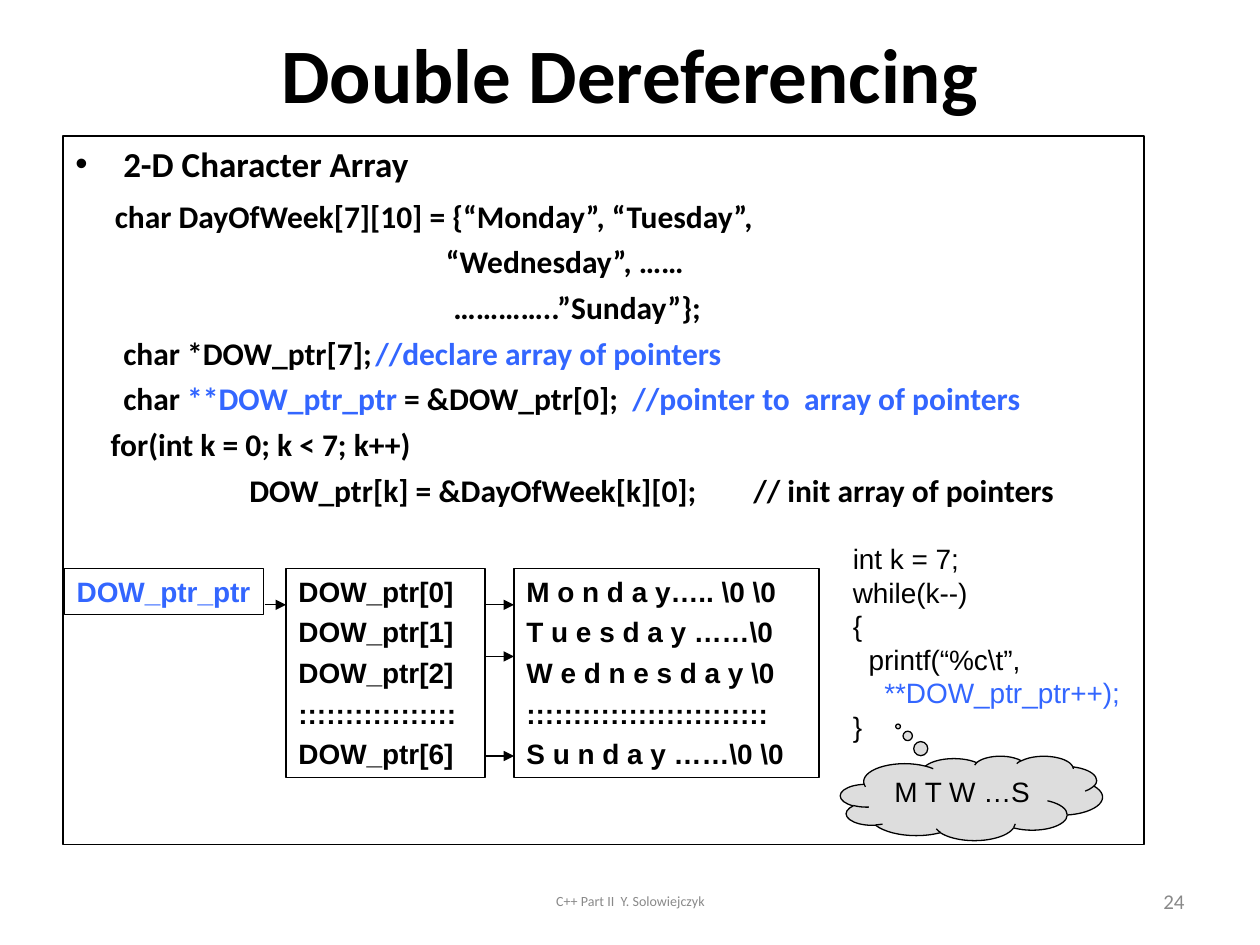
from pptx import Presentation
from pptx.dml.color import RGBColor
from pptx.enum.shapes import MSO_CONNECTOR as Link, MSO_SHAPE as Preset
from pptx.enum.text import MSO_ANCHOR as Anchor, PP_ALIGN as Align
from pptx.oxml.ns import qn
from pptx.util import Inches, Pt
from lxml.etree import SubElement

BLACK = RGBColor(0x00, 0x00, 0x00)
BLUE = RGBColor(0x33, 0x66, 0xFF)
GREY = RGBColor(0x89, 0x89, 0x89)
CLOUD = RGBColor(0xDD, 0xDD, 0xDD)


class Board:
    """Draws on one slide; lengths are cells of a grid of 40 columns by 30 rows."""
    CELL = 0.25
    LINE_WIDTH = Pt(0.75)

    def __init__(self, slide):
        self.slide = slide

    def cells(self, *counts):
        return [Inches(count * self.CELL) for count in counts]

    def fill_in(self, shape, lines, size, font="Arial", bold=False, color=BLACK,
                align=Align.LEFT, anchor=Anchor.TOP, before=0, wrap=True):
        """Each line is a text or a list of (text, colour) runs."""
        frame = shape.text_frame
        frame.word_wrap = wrap
        frame.vertical_anchor = anchor
        for number, line in enumerate(lines):
            paragraph = frame.paragraphs[0] if number == 0 else frame.add_paragraph()
            paragraph.alignment = align
            paragraph.space_before = Pt(before)
            for words, ink in [(line, color)] if isinstance(line, str) else line:
                run = paragraph.add_run()
                run.text = words
                run.font.size, run.font.name, run.font.bold = Pt(size), font, bold
                run.font.color.rgb = ink
        return frame.paragraphs

    def text(self, area, lines, size, **style):
        return self.fill_in(self.slide.shapes.add_textbox(*self.cells(*area)),
                            lines, size, **style)

    def box(self, area, lines, size, preset=Preset.RECTANGLE, fill=None,
            adjustments=(), **style):
        shape = self.slide.shapes.add_shape(preset, *self.cells(*area))
        shape.shadow.inherit = False
        if fill is None:
            shape.fill.background()
        else:
            shape.fill.solid()
            shape.fill.fore_color.rgb = fill
        shape.line.color.rgb = BLACK
        shape.line.width = self.LINE_WIDTH
        for index, value in enumerate(adjustments):
            shape.adjustments[index] = value
        return self.fill_in(shape, lines, size, **style)

    def arrow(self, left, right, row):
        arrow = self.slide.shapes.add_connector(
            Link.STRAIGHT, *self.cells(left, row, right, row))
        arrow.line.color.rgb = BLACK
        arrow.line.width = self.LINE_WIDTH
        outline = arrow._element.spPr.find(qn("a:ln"))
        SubElement(outline, qn("a:tailEnd"), type="triangle")
        SubElement(arrow._element.spPr, qn("a:effectLst"))

    def indent(self, paragraph, columns, tab=None, bullet=None):
        properties = paragraph._p.get_or_add_pPr()
        margin, = self.cells(columns)
        properties.set("marL", str(margin))
        properties.set("indent", str(-margin if bullet else 0))
        if bullet:
            SubElement(properties, qn("a:buFont"), typeface="Arial")
            SubElement(properties, qn("a:buChar"), char=bullet)
        if tab:
            stops = SubElement(properties, qn("a:tabLst"))
            SubElement(stops, qn("a:tab"), pos=str(self.cells(tab)[0]), algn="l")


def main():
    deck = Presentation()
    deck.slide_width, deck.slide_height = Inches(10), Inches(7.5)
    board = Board(deck.slides.add_slide(deck.slide_layouts[6]))

    # Footer, page number and title
    board.text((13.68, 27.8, 12.68, 1.6), ["C++ Part II  Y. Solowiejczyk"], 8,
               font="Calibri", color=GREY, align=Align.CENTER, anchor=Anchor.MIDDLE)
    board.text((28.68, 27.8, 9.32, 1.6), ["24"], 12,
               font="Calibri", color=GREY, align=Align.RIGHT, anchor=Anchor.MIDDLE)
    board.text((2, 0.32, 36, 4), ["Double Dereferencing"], 44, font="Calibri",
               bold=True, align=Align.CENTER, anchor=Anchor.MIDDLE)

    # Declarations: line, indent and tab stop in columns
    declarations = [
        ("2-D Character Array", 1.52, None),
        ("char DayOfWeek[7][10] = {“Monday”, “Tuesday”,", 1.25, None),
        ("“Wednesday”, ……", 11.76, None),
        ("…………..”Sunday”};", 12, None),
        ([("char *DOW_ptr[7];\t", BLACK), ("//declare array of pointers", BLUE)], 1.52, 8),
        ([("char ", BLACK), ("**DOW_ptr_ptr", BLUE), (" = &DOW_ptr[0];  ", BLACK),
          ("//pointer to  array of pointers", BLUE)], 1.52, None),
        ("for(int k = 0; k < 7; k++)", 1.12, None),
        ("DOW_ptr[k] = &DayOfWeek[k][0];\t// init array of pointers", 5.52, 16),
    ]
    code = board.box((2, 4.32, 34.32, 22.48), [line for line, _, _ in declarations],
                     18, font="Calibri", bold=True, before=4.5)
    for number, (paragraph, (_, columns, tab)) in enumerate(zip(code, declarations)):
        board.indent(paragraph, columns, tab, "•" if number == 0 else None)
    code[0].runs[0].font.size = Pt(20)
    code[0].space_before = Pt(5)
    code[1].space_before = Pt(7)

    # Memory diagram: pointer to pointer, pointers, strings
    top, height = 18.04, 6.64
    days = ["M o n d a y….. \\0 \\0", "T u e s d a y ……\\0", "W e d n e s d a y \\0",
            ":" * 26, "S u n d a y ……\\0 \\0"]
    pointers = [f"DOW_ptr[{k}]" for k in range(3)] + [":" * 17, "DOW_ptr[6]"]
    board.box((16.32, top, 9.68, height), days, 16, bold=True, before=4)
    board.box((9.08, top, 6.32, height), pointers, 16, bold=True, before=4)
    board.box((2.04, top, 6.32, 1.48), ["DOW_ptr_ptr"], 16, bold=True,
              color=BLUE, wrap=False)
    board.arrow(8.4, 9.08, 19.2)
    for row in (19.2, 20.84, 24):
        board.arrow(15.4, 16.32, row)

    # Printing loop and its output
    loop = board.text((26.68, 17, 9.36, 6.8),
                      ["int k = 7;", "while(k--)", "{", "printf(“%c\\t”,",
                       [("**DOW_ptr_ptr++);", BLUE)], "}"], 16)
    board.indent(loop[3], 0.5)
    board.indent(loop[4], 1)
    board.box((26.68, 24, 8.32, 2.68), ["M T W …S"], 16, preset=Preset.CLOUD_CALLOUT,
              fill=CLOUD, adjustments=(-0.28, -0.85), align=Align.CENTER)

    deck.save("out.pptx")


if __name__ == "__main__":
    main()
